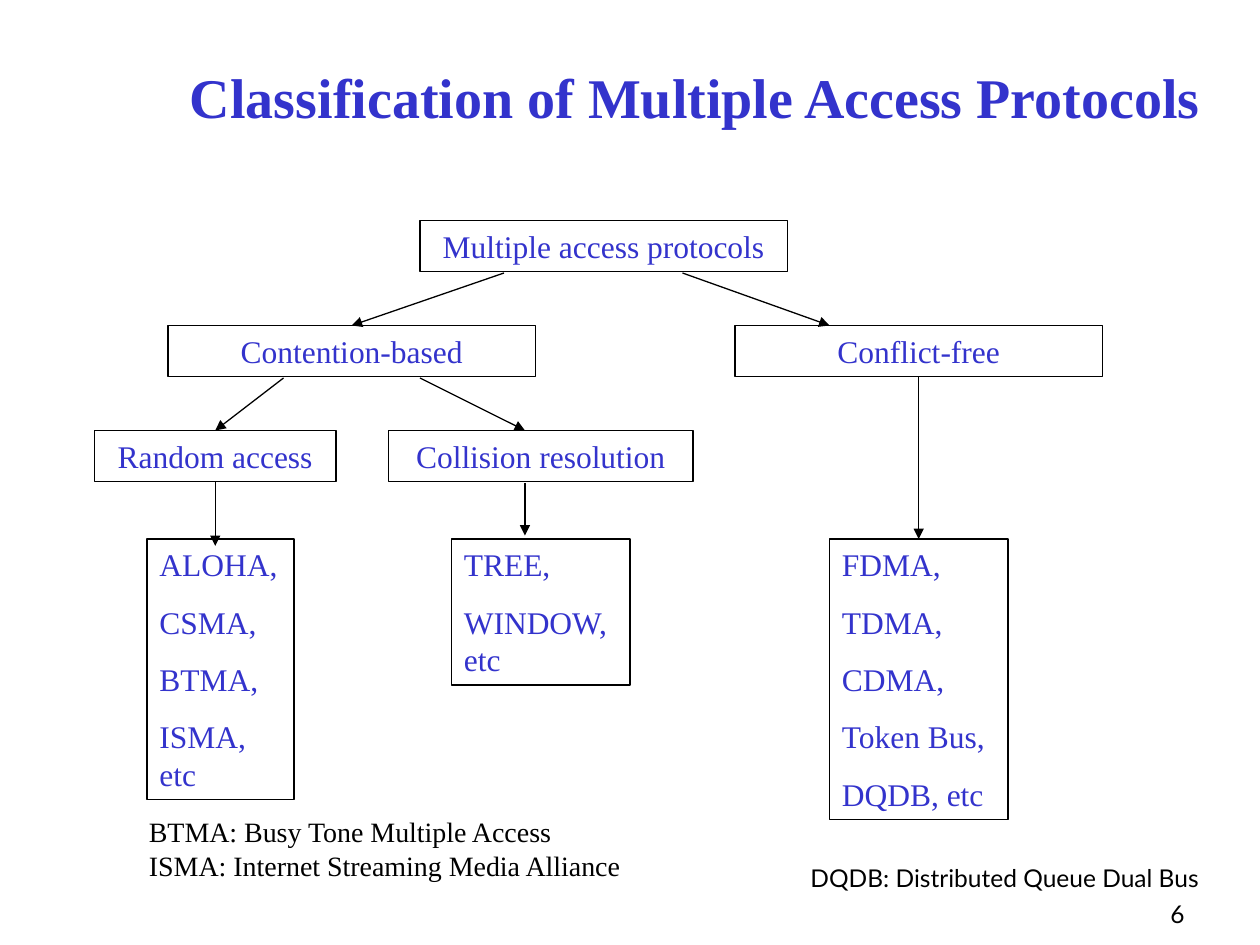
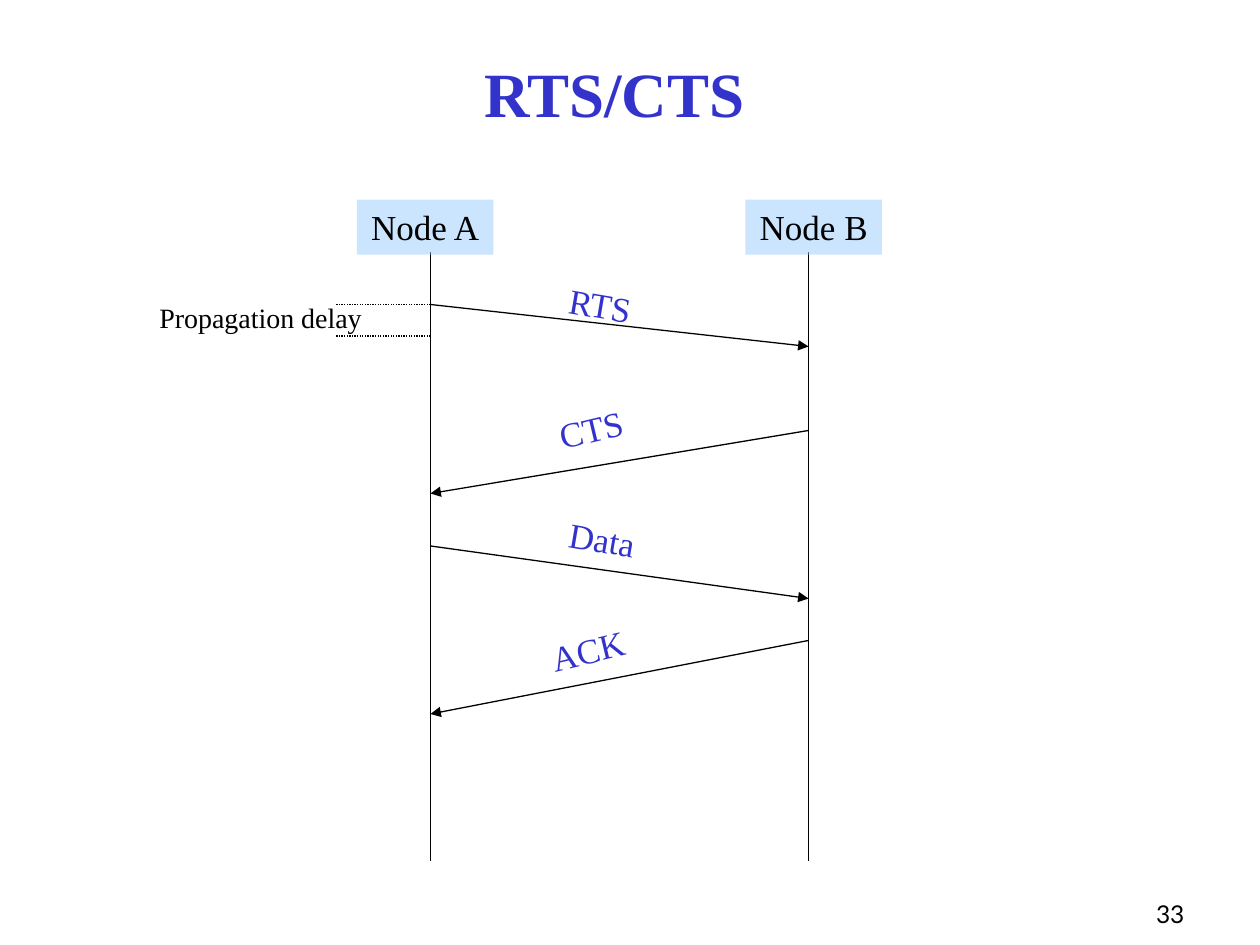
from lxml import etree
from pptx import Presentation
from pptx.dml.color import RGBColor
from pptx.enum.dml import MSO_LINE
from pptx.enum.shapes import MSO_CONNECTOR, MSO_SHAPE
from pptx.enum.text import MSO_ANCHOR, MSO_AUTO_SIZE, PP_ALIGN
from pptx.oxml.ns import qn
from pptx.util import Pt

LEFT, MID, RIGHT = PP_ALIGN.LEFT, PP_ALIGN.CENTER, PP_ALIGN.RIGHT
TOP, CENTRE, LOW = MSO_ANCHOR.TOP, MSO_ANCHOR.MIDDLE, MSO_ANCHOR.BOTTOM
GROW, FIXED = MSO_AUTO_SIZE.SHAPE_TO_FIT_TEXT, MSO_AUTO_SIZE.NONE
RECT, STRAIGHT, DOTS = MSO_SHAPE.RECTANGLE, MSO_CONNECTOR.STRAIGHT, MSO_LINE.ROUND_DOT
BLUE, BLACK, SKY = "3333CC", "000000", "99CCFF"
SERIF, SANS = "Times New Roman", "Lato"
TITLE_ONLY = 5
STEP = 60
ROWS = [126 + STEP * i for i in range(3)]
LISTS = 308
ENDS = (246, 462)
MARKS = (174, 192)


def paint(form, tone):
    """Give a fill or font one solid colour."""
    if hasattr(form, "solid"):
        form.solid()
        form.fore_color.rgb = RGBColor.from_string(tone)
    else:
        form.color.rgb = RGBColor.from_string(tone)


def place(item, left, top, width, height):
    """Move and size a shape, in points."""
    item.left, item.top = Pt(left), Pt(top)
    item.width, item.height = Pt(width), Pt(height)


def write(item, lines, size, tone=BLACK, font=SERIF, align=LEFT,
          anchor=TOP, gap=0, bold=False, fit=GROW):
    """Fill a shape with one paragraph per line."""
    frame = item.text_frame
    frame.word_wrap = True
    frame.auto_size = fit
    frame.vertical_anchor = anchor
    for i, line in enumerate(lines):
        para = frame.add_paragraph() if i else frame.paragraphs[0]
        para.alignment = align
        para.space_before = Pt(gap)
        run = para.add_run()
        run.text = line
        run.font.name, run.font.size, run.font.bold = font, Pt(size), bold
        paint(run.font, tone)


def label(slide, area, lines, size, turn=0, **style):
    """Add a text box, turned if asked."""
    box = slide.shapes.add_textbox(*map(Pt, area))
    box.rotation = turn
    write(box, lines, size, **style)


def block(slide, area, lines, align=MID):
    """Add an outlined box of the tree."""
    box = slide.shapes.add_shape(RECT, *map(Pt, area))
    box.shadow.inherit = False
    box.fill.background()
    paint(box.line.fill, BLACK)
    box.line.width = Pt(0.75)
    write(box, lines, 18, BLUE, align=align, gap=11.2)
    return box


def node(slide, left, name):
    """Add a half clear node head."""
    box = slide.shapes.add_shape(RECT, Pt(left), Pt(114), Pt(78), Pt(31.5))
    box.shadow.inherit = False
    paint(box.fill, SKY)
    tone = box.fill._xPr.find(qn("a:solidFill"))[0]
    etree.SubElement(tone, qn("a:alpha"), val="50000")
    box.line.fill.background()
    write(box, [name], 20, align=MID, gap=12.5)


def link(slide, start, end, head=True, dash=None, source=None, target=None):
    """Draw a line, joined to the bottom of source and top of target."""
    line = slide.shapes.add_connector(STRAIGHT, *map(Pt, (*start, *end)))
    paint(line.line.fill, BLACK)
    line.line.width = Pt(0.75)
    if dash:
        line.line.dash_style = dash
    if head:
        etree.SubElement(line.line._get_or_add_ln(), qn("a:tailEnd"), type="triangle")
    etree.SubElement(line._element.spPr, qn("a:effectLst"))
    if source:
        line.begin_connect(source, 2)
    if target:
        line.end_connect(target, 0)


def start(deck, title, area, size, page):
    """Add a slide with its title and page number."""
    slide = deck.slides.add_slide(deck.slide_layouts[TITLE_ONLY])
    head = slide.shapes.title
    place(head, *area)
    write(head, [title], size, BLUE, align=MID, anchor=LOW, bold=True, fit=FIXED)
    label(slide, (534, 498, 150, 36), [page], 14, font=SANS,
          align=RIGHT, anchor=LOW, fit=FIXED)
    return slide


def tree(deck):
    """Build the protocol tree."""
    slide = start(deck, "Classification of Multiple Access Protocols",
                  (91, 12, 613, 66), 32, "6")
    block(slide, (240, ROWS[0], 210, 29), ["Multiple access protocols"])
    shared = block(slide, (96, ROWS[1], 210, 29), ["Contention-based"])
    free = block(slide, (420, ROWS[1], 210, 29), ["Conflict-free"])
    random = block(slide, (54, ROWS[2], 138, 29), ["Random access"])
    block(slide, (222, ROWS[2], 174, 29), ["Collision resolution"])
    fixed = block(slide, (474, LISTS, 102, 160.5),
                  ["FDMA,", "TDMA,", "CDMA,", "Token Bus,", "DQDB, etc"], LEFT)
    block(slide, (84, LISTS, 84, 149), ["ALOHA,", "CSMA,", "BTMA,", "ISMA, etc"], LEFT)
    block(slide, (258, LISTS, 102, 83.5), ["TREE,", "WINDOW, etc"], LEFT)

    link(slide, (288, 156), (201, ROWS[1]), target=shared)
    link(slide, (390, 156), (474, ROWS[1]))
    link(slide, (162, 216), (123, ROWS[2]), target=random)
    link(slide, (240, 216), (300, ROWS[2]))
    link(slide, (123, 275), (123, 312), source=random)
    link(slide, (300, 276), (300, 306))
    link(slide, (525, 215), (525, LISTS), source=free, target=fixed)

    label(slide, (456, 489.5, 264, 24.5), ["DQDB: Distributed Queue Dual Bus"],
          14, font=SANS, anchor=CENTRE)
    label(slide, (78, 462, 300, 46), ["BTMA: Busy Tone Multiple Access",
                                      "ISMA: Internet Streaming Media Alliance"], 16)


def chat(deck):
    """Build the exchange between two nodes."""
    slide = start(deck, "RTS/CTS", (72, 18, 558, 60), 36, "33")
    for x in ENDS:
        link(slide, (x, 144), (x, 492), head=False)
    calls = [("RTS", 174, 198, 318, 160.5), ("CTS", 246, 282, 312, 227),
             ("Data", 312, 342, 318, 294), ("ACK", 366, 408, 307.5, 354)]
    for i, (name, high, low, left, top) in enumerate(calls):
        back = i % 2
        link(slide, (ENDS[back], high), (ENDS[1 - back], low))
        label(slide, (left, top, 72, 31.5), [name], 20, 346.6 if back else 9.7,
              tone=BLUE, gap=12.5)
    for left, name in ((204, "Node A"), (426, "Node B")):
        node(slide, left, name)
    for y in MARKS:
        link(slide, (ENDS[0], y), (192, y), head=False, dash=DOTS)
    label(slide, (84, 168, 132, 26.5), ["Propagation delay"], 16)


def main():
    """Build and save the deck."""
    deck = Presentation()
    deck.slide_width, deck.slide_height = Pt(720), Pt(540)
    tree(deck)
    chat(deck)
    deck.save("out.pptx")


if __name__ == "__main__":
    main()
